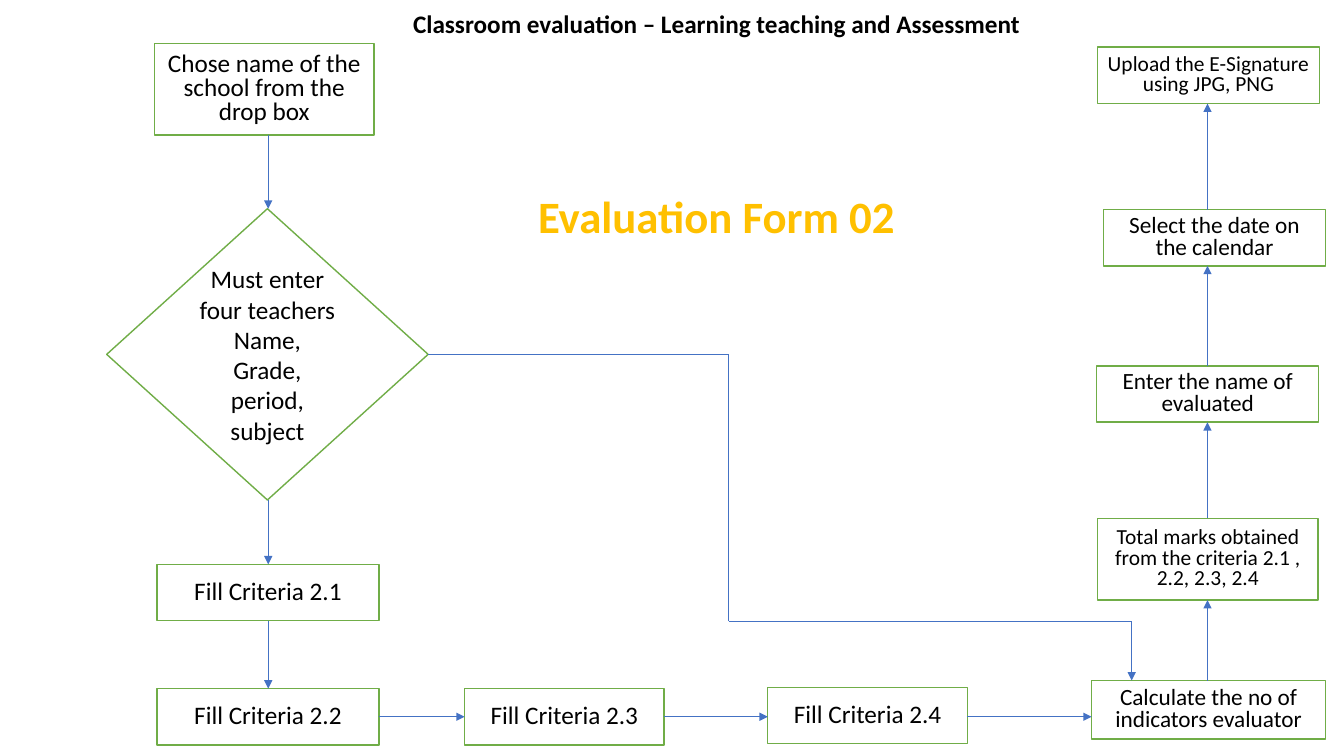
from pptx import Presentation
from pptx.dml.color import RGBColor
from pptx.enum.shapes import MSO_CONNECTOR, MSO_SHAPE
from pptx.enum.text import MSO_ANCHOR, PP_ALIGN
from pptx.oxml.ns import qn
from pptx.util import Cm, Pt
from lxml import etree

RECTANGLE, DIAMOND = MSO_SHAPE.RECTANGLE, MSO_SHAPE.DIAMOND
STRAIGHT = MSO_CONNECTOR.STRAIGHT
LEFT, CENTER = PP_ALIGN.LEFT, PP_ALIGN.CENTER
TOP, MIDDLE = MSO_ANCHOR.TOP, MSO_ANCHOR.MIDDLE

THEME = {
    "font": "Calibri",
    "ink": RGBColor.from_string("000000"),
    "paper": RGBColor.from_string("FFFFFF"),
    "accent": RGBColor.from_string("FFC000"),
    "border": RGBColor.from_string("70AD47"),
    "arrow": RGBColor.from_string("4472C4"),
    "body": 18, "medium": 16.6, "small": 15.3, "heading": 32,
    "border_width": 1, "arrow_width": 0.5,
}

# Content: headings and steps, with left, top, width, height in cm
HEADINGS = [
    ("Classroom evaluation – Learning teaching and Assessment",
     (10.16, 0.08, 16.38, 1.02), "body", "ink"),
    ("Evaluation Form 02", (13.31, 4.62, 11.63, 1.63), "heading", "accent"),
]
STEPS = {
    "school": ("Chose name of the school from the drop box",
               (3.89, 1.09, 5.54, 2.31), "body", 0.8),
    "teachers": ("Must enter four teachers Name, Grade, period, subject",
                 (2.69, 5.26, 8.1, 7.34), "body", 1),
    "criteria 2.1": ("Fill Criteria 2.1", (3.96, 14.22, 5.59, 1.42), "body", 0.9),
    "criteria 2.2": ("Fill Criteria 2.2", (3.96, 17.35, 5.59, 1.42), "body", 0.9),
    "criteria 2.3": ("Fill Criteria 2.3", (11.71, 17.35, 5.03, 1.42), "body", 0.9),
    "criteria 2.4": ("Fill Criteria 2.4", (19.35, 17.32, 5.03, 1.42), "body", 0.9),
    "indicators": ("Calculate the no of indicators evaluator",
                   (27.51, 17.15, 5.89, 1.47), "medium", 0.8),
    "total": ("Total marks obtained from the criteria 2.1 , 2.2, 2.3, 2.4",
              (27.66, 13.06, 5.56, 2.06), "small", 0.8),
    "evaluated": ("Enter the name of evaluated",
                  (27.64, 9.22, 5.59, 1.42), "medium", 0.8),
    "date": ("Select the date on the calendar",
             (27.81, 5.28, 5.59, 1.42), "medium", 0.8),
    "signature": ("Upload the E-Signature using JPG, PNG",
                  (27.66, 1.19, 5.59, 1.42), "small", 0.8),
}
DECISION = "teachers"

# Flow: each run of steps shares one axis
DOWN = ["school", "teachers", "criteria 2.1", "criteria 2.2"]
ACROSS = ["criteria 2.2", "criteria 2.3", "criteria 2.4", "indicators"]
UP = ["indicators", "total", "evaluated", "date", "signature"]
DOWN_X, ACROSS_Y, UP_X = 6.76, 18.06, 30.43
BYPASS_X, BYPASS_Y, BYPASS_END_X = 18.36, 15.65, 28.52

deck = Presentation()
deck.slide_width, deck.slide_height = Cm(33.87), Cm(19.05)
page = deck.slides.add_slide(deck.slide_layouts[6])


def write(box, text, size="body", color="ink", bold=False, align=LEFT,
          anchor=TOP, spacing=1, before=0):
    frame = box.text_frame
    frame.word_wrap = True
    frame.vertical_anchor = anchor
    para = frame.paragraphs[0]
    para.alignment = align
    para.line_spacing = spacing
    para.space_before = Pt(before)
    span = para.add_run()
    span.text = text
    span.font.name = THEME["font"]
    span.font.size = Pt(THEME[size])
    span.font.bold = bold
    span.font.color.rgb = THEME[color]


def connect(start, end, arrow=True):
    line = page.shapes.add_connector(STRAIGHT, *(Cm(value) for value in start + end))
    line.line.color.rgb = THEME["arrow"]
    line.line.width = Pt(THEME["arrow_width"])
    if arrow:
        outline = line.line._get_or_add_ln()
        etree.SubElement(outline, qn("a:tailEnd"), type="triangle")
    etree.SubElement(line._element.spPr, qn("a:effectLst"))


def edges(name):
    left, top, width, height = STEPS[name][1]
    return left, top, left + width, top + height


# Steps
for name, (text, area, size, spacing) in STEPS.items():
    decision = name == DECISION
    box = page.shapes.add_shape(DIAMOND if decision else RECTANGLE,
                                *(Cm(value) for value in area))
    box.shadow.inherit = False
    box.fill.solid()
    box.fill.fore_color.rgb = THEME["paper"]
    box.line.color.rgb = THEME["border"]
    box.line.width = Pt(THEME["border_width"])
    write(box, text, size=size, align=CENTER, anchor=MIDDLE, spacing=spacing,
          before=0 if decision else 10)

# Headings
for text, area, size, color in HEADINGS:
    box = page.shapes.add_textbox(*(Cm(value) for value in area))
    write(box, text, size=size, color=color, bold=True)

# Arrows from edge to edge
for first, second in zip(DOWN, DOWN[1:]):
    connect((DOWN_X, edges(first)[3]), (DOWN_X, edges(second)[1]))
for first, second in zip(ACROSS, ACROSS[1:]):
    connect((edges(first)[2], ACROSS_Y), (edges(second)[0], ACROSS_Y))
for first, second in zip(UP, UP[1:]):
    connect((UP_X, edges(first)[1]), (UP_X, edges(second)[3]))

# Bypass from the decision to the indicators
left, top, right, bottom = edges(DECISION)
middle = (top + bottom) / 2
corners = [(right, middle), (BYPASS_X, middle), (BYPASS_X, BYPASS_Y),
           (BYPASS_END_X, BYPASS_Y), (BYPASS_END_X, edges("indicators")[1])]
for start, end in zip(corners, corners[1:]):
    connect(start, end, arrow=end == corners[-1])

deck.save("out.pptx")
